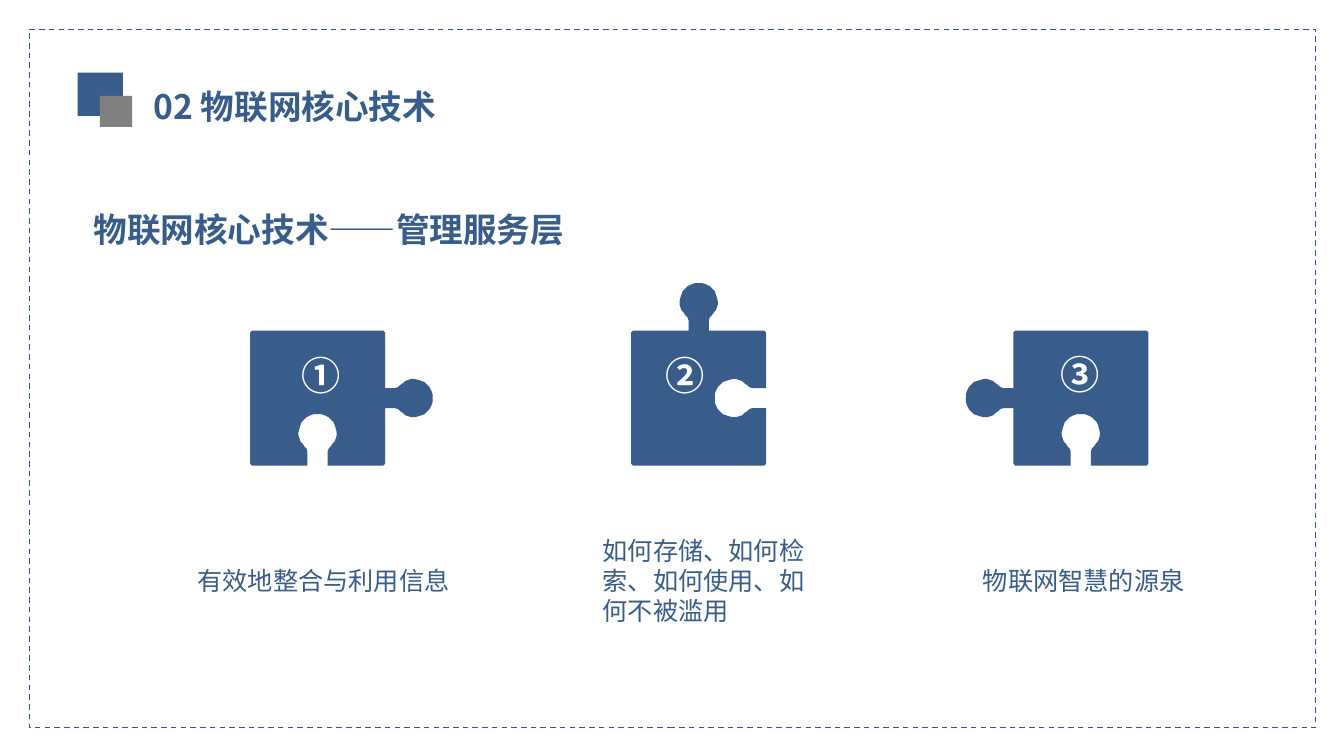
from pptx import Presentation
from pptx.dml.color import RGBColor
from pptx.enum.dml import MSO_LINE
from pptx.enum.shapes import MSO_SHAPE
from pptx.enum.text import MSO_ANCHOR, PP_ALIGN
from pptx.oxml.ns import qn
from pptx.util import Inches, Pt
from lxml import etree

COLORS = {"blue": "385D8A", "frame": "325491", "gray": "808080", "white": "FFFFFF"}

# Half outline of a puzzle knob: (offset from its axis, distance from the edge)
KNOB_HALF = [(-.10, .10), (-.11, .13), (-.13, .15), (-.15, .18), (-.17, .20),
             (-.18, .23), (-.19, .26), (-.19, .29), (-.18, .33), (-.17, .36),
             (-.16, .39), (-.13, .42), (-.11, .44), (-.07, .46), (-.04, .47)]
KNOB = KNOB_HALF + [(-u, v) for u, v in reversed(KNOB_HALF)]
SIDE, CORNER, NECK = 1.34, .02, .10
SOCKET_EXTRA = .04  # a socket reaches deeper than a knob stands out
PIECE_LEFTS = (2.48, 6.26, 10.05)

# Edges clockwise: start corner, direction, outward normal
EDGES = {"top": ((0, 0), (1, 0), (0, -1)),
         "right": ((1, 0), (0, 1), (1, 0)),
         "bottom": ((1, 1), (-1, 0), (0, 1)),
         "left": ((0, 1), (0, -1), (-1, 0))}


class Slide:
    def __init__(self, prs, font="Noto Sans CJK SC"):
        self.s = prs.slides.add_slide(prs.slide_layouts[5])
        self.font = font

    def color(self, name):
        return RGBColor.from_string(COLORS[name])

    def paint(self, sp, fill=None):
        sp.shadow.inherit = False
        sp.line.fill.background()
        if fill:
            sp.fill.solid()
            sp.fill.fore_color.rgb = self.color(fill)
        else:
            sp.fill.background()

    def rect(self, x, y, w, h, fill=None):
        sp = self.s.shapes.add_shape(
            MSO_SHAPE.RECTANGLE, Inches(x), Inches(y), Inches(w), Inches(h))
        self.paint(sp, fill)
        return sp

    def frame(self, x, y, w, h):
        sp = self.rect(x, y, w, h)
        sp.line.color.rgb = self.color("frame")
        sp.line.width = Pt(1)
        sp.line.dash_style = MSO_LINE.DASH

    def add_words(self, sp, text, size, color, bold, align):
        tf = sp.text_frame
        tf.word_wrap = True
        tf.vertical_anchor = MSO_ANCHOR.TOP
        p = tf.paragraphs[0]
        p.alignment = align
        r = p.add_run()
        r.text = text
        r.font.size = Pt(size)
        r.font.bold = bold
        r.font.color.rgb = self.color(color)
        r.font.name = self.font
        ea = etree.SubElement(r.font._element, qn("a:ea"))
        ea.set("typeface", self.font)

    def title(self, text, x, y, w, h):
        sp = self.s.shapes.title
        sp.left, sp.top, sp.width, sp.height = (Inches(n) for n in (x, y, w, h))
        self.add_words(sp, text, 24, "blue", True, PP_ALIGN.CENTER)

    def text(self, text, x, y, w, h, size=18, color="blue", bold=False):
        sp = self.s.shapes.add_textbox(Inches(x), Inches(y), Inches(w), Inches(h))
        self.add_words(sp, text, size, color, bold, PP_ALIGN.LEFT)

    def puzzle(self, x, y, knob, socket):
        points = []
        for name, (start, along, out) in EDGES.items():
            profile = [(CORNER, 0)]
            if name in (knob, socket):
                sign, extra = (1, 0) if name == knob else (-1, SOCKET_EXTRA)
                profile.append((SIDE / 2 - NECK, 0))
                profile += [(SIDE / 2 + u, sign * (v + extra)) for u, v in KNOB]
                profile.append((SIDE / 2 + NECK, 0))
            profile.append((SIDE - CORNER, 0))
            points += [(Inches(x + start[0] * SIDE + along[0] * u + out[0] * v),
                        Inches(y + start[1] * SIDE + along[1] * u + out[1] * v))
                       for u, v in profile]
        builder = self.s.shapes.build_freeform(*points[0])
        builder.add_line_segments(points[1:], close=True)
        self.paint(builder.convert_to_shape(), "blue")


def main():
    prs = Presentation()
    prs.slide_width, prs.slide_height = Inches(13.33), Inches(7.5)
    slide = Slide(prs)

    # Frame and headings
    slide.frame(.29, .29, 12.76, 6.93)
    slide.title("02 物联网核心技术", 1.39, .8, 3.07, .5)
    slide.text("物联网核心技术——管理服务层", .83, 2.02, 4.97, .5, 24, bold=True)

    # Puzzle pieces: knob, socket, number and its place, caption and its box
    pieces = [
        ("right", "bottom", "①", (2.89, 3.44),
         "有效地整合与利用信息", (1.86, 5.56, 2.79, .4)),
        ("top", "right", "②", (6.5, 3.44),
         "如何存储、如何检索、如何使用、如何不被滥用", (5.88, 5.26, 2.36, 1.01)),
        ("left", "bottom", "③", (10.42, 3.43),
         "物联网智慧的源泉", (9.65, 5.56, 4.73, .4)),
    ]
    for x, (knob, socket, number, place, caption, box) in zip(PIECE_LEFTS, pieces):
        slide.puzzle(x, 3.28, knob, socket)
        slide.text(number, *place, .87, .57, 28, "white", True)
        slide.text(caption, *box)

    # Corner mark
    slide.rect(.77, .72, .45, .43, "blue")
    slide.rect(.99, .95, .32, .31, "gray")

    prs.save("out.pptx")


if __name__ == "__main__":
    main()
